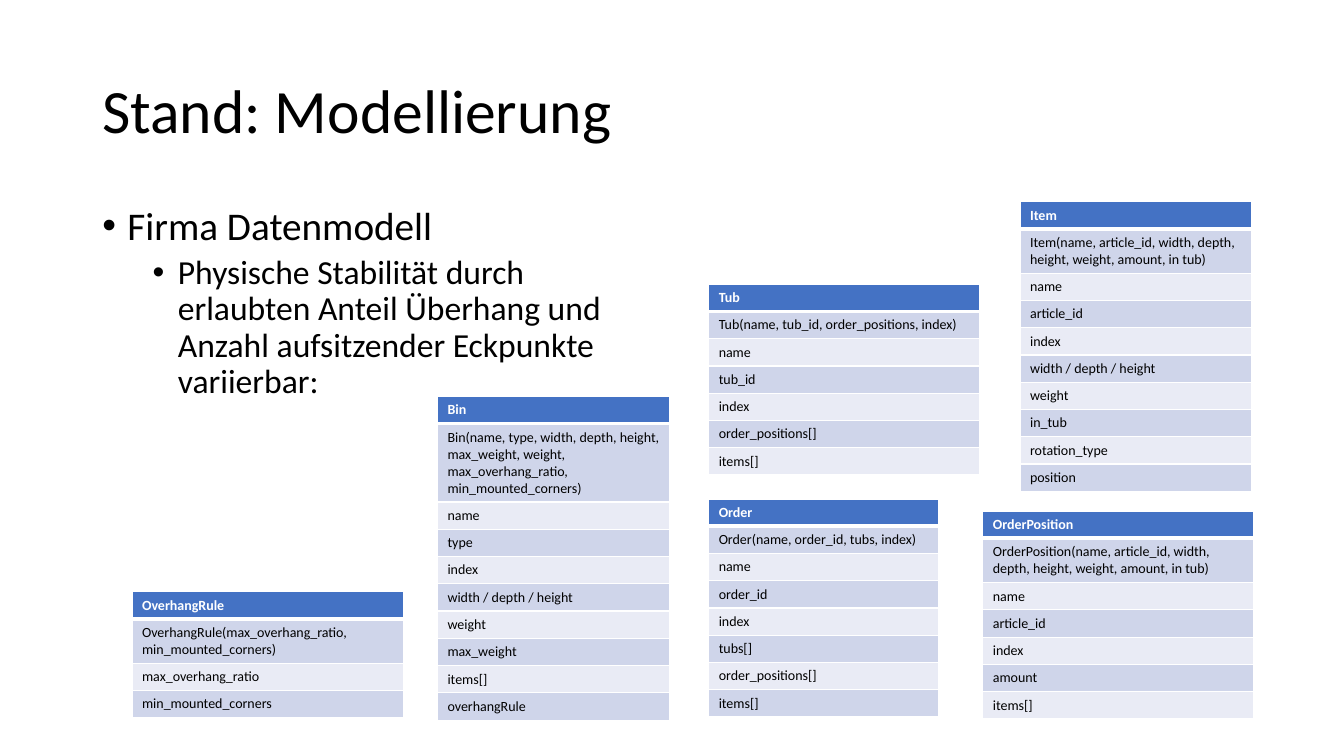
import pptx
import pptx.util
import pptx.dml.color
import pptx.enum.text
import pptx.oxml.ns
import lxml.etree

Pt = pptx.util.Pt
MIDDLE = pptx.enum.text.MSO_ANCHOR.MIDDLE
FONT = "Calibri"
COLORS = {"text": "000000", "head": "4472C4", "head_text": "FFFFFF",
          "dark": "CFD5EA", "light": "E9EBF5", "border": "FFFFFF"}
ROW_H, LINE_H = 19.5, 12.2

TITLE = "Stand: Modellierung"
BULLETS = [
    ("Firma Datenmodell", 28, 18, 10),
    ("Physische Stabilität durch erlaubten Anteil Überhang und "
     "Anzahl aufsitzender Eckpunkte variierbar:", 24, 54, 5),
]
CLASSES = [
    (506.2, 356.4, 164.2, 1, "Order", "name, order_id, tubs, index",
     ["name", "order_id", "index", "tubs[]", "order_positions[]", "items[]"]),
    (506.2, 203, 193.7, 1, "Tub", "name, tub_id, order_positions, index",
     ["name", "tub_id", "index", "order_positions[]", "items[]"]),
    (702, 365, 193.7, 2, "OrderPosition",
     "name, article_id, width, depth, height, weight, amount, in tub",
     ["name", "article_id", "index", "amount", "items[]"]),
    (728.6, 144, 165.6, 2, "Item",
     "name, article_id, width, depth, height, weight, amount, in tub",
     ["name", "article_id", "index", "width / depth / height", "weight",
      "in_tub", "rotation_type", "position"]),
    (312.5, 283, 165.6, 4, "Bin",
     "name, type, width, depth, height, max_weight, weight, "
     "max_overhang_ratio, min_mounted_corners",
     ["name", "type", "index", "width / depth / height", "weight",
      "max_weight", "items[]", "overhangRule"]),
    (94.3, 422.6, 193.7, 2, "OverhangRule",
     "max_overhang_ratio, min_mounted_corners",
     ["max_overhang_ratio", "min_mounted_corners"]),
]


def rgb(name):
    """Return the named colour."""
    return pptx.dml.color.RGBColor.from_string(COLORS[name])


def add_element(parent, tag, **attrs):
    """Append a drawing element and return it."""
    return lxml.etree.SubElement(parent, pptx.oxml.ns.qn(tag), attrs)


def style_font(p, size, color="text", bold=False):
    """Set the font of a whole paragraph."""
    p.font.name = FONT
    p.font.size = Pt(size)
    p.font.bold = bold
    p.font.color.rgb = rgb(color)


def add_text_frame(slide, left, top, width, height):
    """Add a wrapping text box and return its text frame."""
    sp = slide.shapes.add_textbox(Pt(left), Pt(top), Pt(width), Pt(height))
    sp.text_frame.word_wrap = True
    return sp.text_frame


def add_title(slide, left, top, width, height):
    """Add the slide title, centred vertically in its box."""
    tf = add_text_frame(slide, left, top, width, height)
    tf.vertical_anchor = MIDDLE
    p = tf.paragraphs[0]
    p.text = TITLE
    p.line_spacing = 0.9
    style_font(p, 44)


def add_bullets(slide, left, top, width, height):
    """Add the bulleted text with hanging indents."""
    tf = add_text_frame(slide, left, top, width, height)
    for i, (text, size, indent, before) in enumerate(BULLETS):
        p = tf.add_paragraph() if i else tf.paragraphs[0]
        p.text = text
        p.level = i
        p.line_spacing = 0.9
        p.space_before = Pt(before)
        pPr = p._p.get_or_add_pPr()
        pPr.set("marL", str(Pt(indent)))
        pPr.set("indent", str(Pt(-18)))
        add_element(pPr, "a:buFont", typeface="Arial")
        add_element(pPr, "a:buChar", char="•")
        style_font(p, size)


def add_borders(cell, row):
    """Draw the cell borders, thicker between header and body."""
    tcPr = cell._tc.get_or_add_tcPr()
    widths = {"L": 1, "R": 1, "T": 3 if row == 1 else 1, "B": 3 if row == 0 else 1}
    for side, width in widths.items():
        ln = add_element(tcPr, f"a:ln{side}", w=str(Pt(width)))
        fill = add_element(ln, "a:solidFill")
        add_element(fill, "a:srgbClr", val=COLORS["border"])


def add_class_table(slide, left, top, width, lines, name, params, fields):
    """Add a class as header, constructor and one row per field."""
    texts = [name, f"{name}({params})"] + fields
    heights = [ROW_H] * len(texts)
    heights[1] += LINE_H * (lines - 1)
    table = slide.shapes.add_table(len(texts), 1, Pt(left), Pt(top),
                                   Pt(width), Pt(sum(heights))).table
    for i, (text, height) in enumerate(zip(texts, heights)):
        table.rows[i].height = Pt(height)
        cell = table.cell(i, 0)
        cell.text = text
        cell.vertical_anchor = MIDDLE
        add_borders(cell, i)
        cell.fill.solid()
        cell.fill.fore_color.rgb = rgb("head" if i == 0 else "dark" if i % 2 else "light")
        style_font(cell.text_frame.paragraphs[0], 10,
                   "text" if i else "head_text", i == 0)


def main():
    """Build and save the slide."""
    prs = pptx.Presentation()
    prs.slide_width, prs.slide_height = Pt(960), Pt(540)
    slide = prs.slides.add_slide(prs.slide_layouts[6])
    add_title(slide, 66, 28.75, 828, 104.4)
    add_bullets(slide, 66, 143.75, 412, 342.6)
    for class_args in CLASSES:
        add_class_table(slide, *class_args)
    prs.save("out.pptx")


if __name__ == "__main__":
    main()
